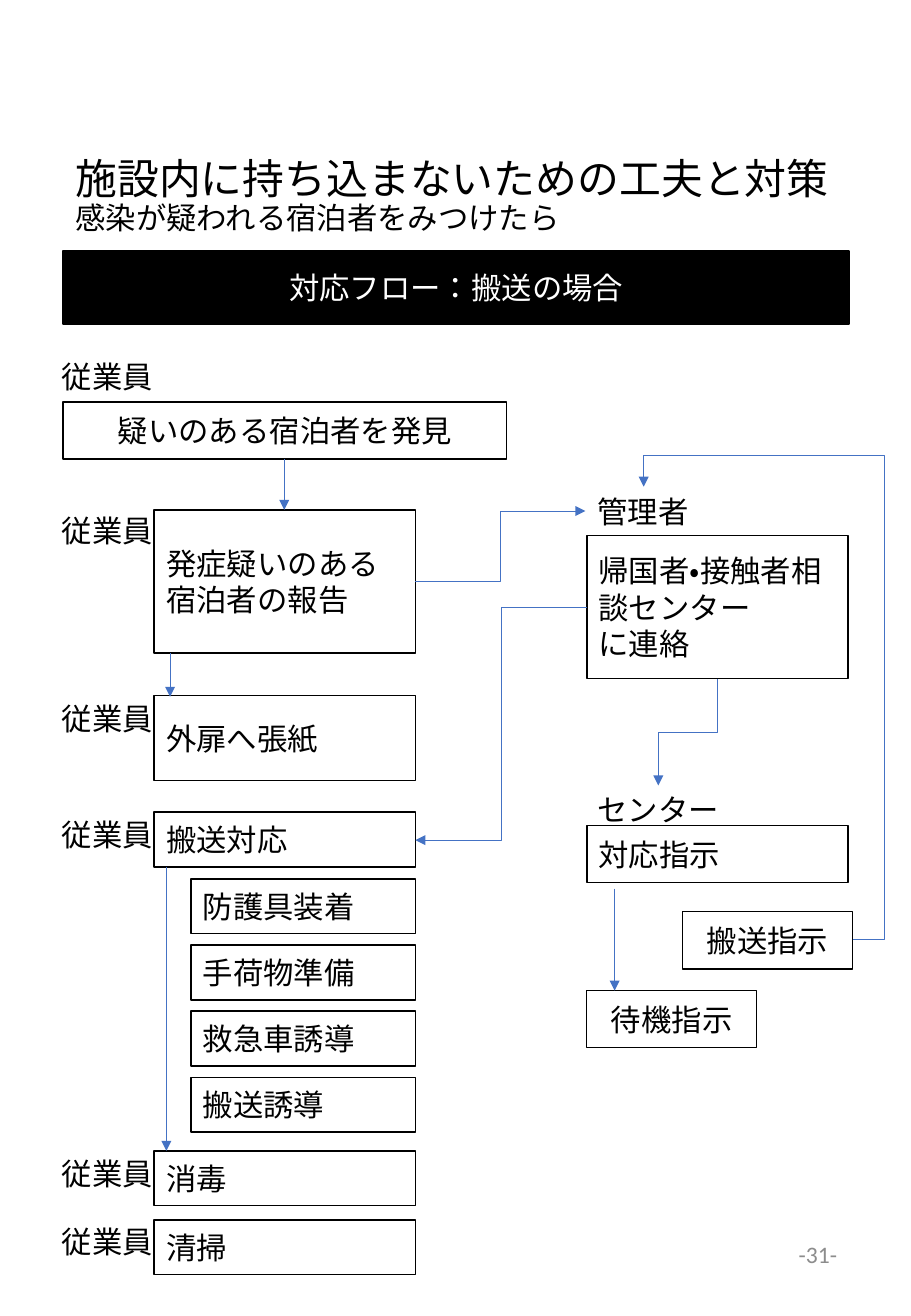
from pptx import Presentation
from pptx.dml.color import RGBColor
from pptx.enum.lang import MSO_LANGUAGE_ID
from pptx.enum.shapes import MSO_CONNECTOR, MSO_SHAPE
from pptx.enum.text import MSO_ANCHOR, MSO_AUTO_SIZE, PP_ALIGN
from pptx.oxml.ns import qn
from pptx.util import Inches, Pt
from lxml import etree

BLACK = RGBColor(0x00, 0x00, 0x00)
WHITE = RGBColor(0xFF, 0xFF, 0xFF)
GREY = RGBColor(0x8C, 0x8C, 0x8C)
BLUE = RGBColor(0x44, 0x72, 0xC4)

STAFF_LEFT, STAFF_WIDTH = 1.27, 2.15
STAFF_RIGHT = STAFF_LEFT + STAFF_WIDTH
TASK_LEFT, TASK_TOP, TASK_STEP = 1.57, 7.24, 0.545
ROW_HEIGHT = 0.45
DESK_LEFT, DESK_LABEL_LEFT = 4.83, 4.82

# Staff steps: text, top, height, top of the role label
STAFF_STEPS = [
    ("発症疑いのある宿泊者の報告", 4.2, 1.18, 4.17),
    ("外扉へ張紙", 5.73, 0.7, 5.72),
    ("搬送対応", 6.69, ROW_HEIGHT, 6.67),
    ("消毒", 9.48, ROW_HEIGHT, 9.47),
    ("清掃", 10.05, ROW_HEIGHT, 10.03),
]
TRANSFER_TASKS = ["防護具装着", "手荷物準備", "救急車誘導", "搬送誘導"]


def write(frame, text, size=18, color=BLACK, align=PP_ALIGN.LEFT, spacing=None,
          anchor=MSO_ANCHOR.MIDDLE, more=False):
    """Write each line of text as a paragraph; more=True appends."""
    frame.vertical_anchor = anchor
    for index, line in enumerate(text.split("\n")):
        first = index == 0 and not more
        paragraph = frame.paragraphs[0] if first else frame.add_paragraph()
        paragraph.alignment = align
        paragraph.line_spacing = spacing
        paragraph.space_before = Pt(0)
        run = paragraph.add_run()
        run.text = line
        run.font.name = "Calibri"
        run.font.size = Pt(size)
        run.font.color.rgb = color
        run.font.language_id = MSO_LANGUAGE_ID.JAPANESE


def add_title(slide, heading, subheading):
    title = slide.shapes.title
    title.left, title.top = Inches(0.52), Inches(0.58)
    title.width, title.height = Inches(6.47), Inches(2.09)
    frame = title.text_frame
    frame.word_wrap = True
    frame.auto_size = MSO_AUTO_SIZE.NONE
    write(frame, heading, size=24.8, spacing=0.9)
    write(frame, subheading, spacing=0.9, more=True)


def add_box(slide, text, left, top, width, height, fill=None, **text_format):
    box = slide.shapes.add_shape(MSO_SHAPE.RECTANGLE, Inches(left), Inches(top),
                                 Inches(width), Inches(height))
    box.shadow.inherit = False
    if fill is None:
        box.fill.background()
    else:
        box.fill.solid()
        box.fill.fore_color.rgb = fill
    box.line.color.rgb = BLACK
    box.line.width = Pt(1)
    box.text_frame.word_wrap = True
    write(box.text_frame, text, **text_format)


def add_label(slide, text, left, top, width=0.96):
    label = slide.shapes.add_textbox(Inches(left), Inches(top),
                                     Inches(width), Inches(0.4))
    label.text_frame.word_wrap = False
    label.text_frame.auto_size = MSO_AUTO_SIZE.SHAPE_TO_FIT_TEXT
    write(label.text_frame, text, anchor=MSO_ANCHOR.TOP)


def add_arrow(slide, start, end, kind=MSO_CONNECTOR.ELBOW, vertical_first=False,
              bends=()):
    """Draw an arrow; bends are the adjustments of a four-segment elbow."""
    (x1, y1), (x2, y2) = start, end
    if vertical_first:
        # Turn the ends back by 90 degrees about the centre, then rotate the frame
        cx, cy = (x1 + x2) / 2, (y1 + y2) / 2
        x1, y1, x2, y2 = (cx + y1 - cy, cy - x1 + cx,
                          cx + y2 - cy, cy - x2 + cx)
    arrow = slide.shapes.add_connector(kind, Inches(x1), Inches(y1),
                                       Inches(x2), Inches(y2))
    arrow.line.color.rgb = BLUE
    arrow.line.width = Pt(0.5)
    properties = arrow._element.spPr
    if vertical_first:
        properties.find(qn("a:xfrm")).set("rot", "5400000")
    if bends:
        geometry = properties.find(qn("a:prstGeom"))
        geometry.set("prst", "bentConnector4")
        for number, bend in enumerate(bends, start=1):
            etree.SubElement(geometry.find(qn("a:avLst")), qn("a:gd"),
                             name=f"adj{number}", fmla=f"val {round(bend * 100000)}")
    etree.SubElement(properties.find(qn("a:ln")), qn("a:tailEnd"), type="triangle")
    etree.SubElement(properties, qn("a:effectLst"))


def add_page_number(slide, text):
    number = slide.shapes.add_textbox(Inches(5.3), Inches(10.04),
                                      Inches(1.69), Inches(0.58))
    number.text_frame.word_wrap = True
    write(number.text_frame, text, size=14, color=GREY, align=PP_ALIGN.RIGHT)


def add_staff_column(slide):
    add_label(slide, "従業員", 0.41, 2.9)
    add_box(slide, "疑いのある宿泊者を発見", 0.52, 3.31, 3.65, 0.47,
            align=PP_ALIGN.CENTER)
    for text, top, height, label_top in STAFF_STEPS:
        add_box(slide, text, STAFF_LEFT, top, STAFF_WIDTH, height)
        add_label(slide, "従業員", 0.41, label_top)
    for index, task in enumerate(TRANSFER_TASKS):
        add_box(slide, task, TASK_LEFT, TASK_TOP + index * TASK_STEP,
                STAFF_RIGHT - TASK_LEFT, ROW_HEIGHT)


def add_desk_column(slide):
    add_label(slide, "管理者", DESK_LABEL_LEFT, 4.01)
    add_box(slide, "帰国者・接触者相談センター\nに連絡", DESK_LEFT, 4.41, 2.15, 1.18)
    add_label(slide, "センター", DESK_LABEL_LEFT, 6.47, 1.21)
    add_box(slide, "対応指示", DESK_LEFT, 6.8, 2.15, 0.47)
    add_box(slide, "搬送指示", 5.62, 7.51, 1.4, 0.47, align=PP_ALIGN.CENTER)
    add_box(slide, "待機指示", DESK_LEFT, 8.16, 1.4, 0.47, align=PP_ALIGN.CENTER)


def add_flow_arrows(slide):
    # Straight steps down
    for x, top, bottom in [(2.34, 3.78, 4.2), (1.4, 5.38, 5.74),
                           (1.37, 7.14, 9.48), (5.06, 7.32, 8.16)]:
        add_arrow(slide, (x, top), (x, bottom), kind=MSO_CONNECTOR.STRAIGHT)
    # Report to manager, contact to centre, contact to transfer
    add_arrow(slide, (STAFF_RIGHT, 4.79), (DESK_LABEL_LEFT, 4.21))
    add_arrow(slide, (5.91, 5.59), (5.42, 6.47), vertical_first=True)
    add_arrow(slide, (DESK_LEFT, 5), (STAFF_RIGHT, 6.92))
    # Transfer order back to manager
    add_arrow(slide, (7.02, 7.74), (5.3, 4.01), bends=(-0.15, 1.07))


def main():
    presentation = Presentation()
    presentation.slide_width = Inches(7.5)
    presentation.slide_height = Inches(10.84)
    slide = presentation.slides.add_slide(presentation.slide_layouts[5])

    # Heading
    add_title(slide, "施設内に持ち込まないための工夫と対策",
              "感染が疑われる宿泊者をみつけたら")
    add_page_number(slide, "-31-")
    add_box(slide, "対応フロー：搬送の場合", 0.52, 2.07, 6.47, 0.6, fill=BLACK,
            color=WHITE, align=PP_ALIGN.CENTER)

    # Flow chart
    add_staff_column(slide)
    add_desk_column(slide)
    add_flow_arrows(slide)
    presentation.save("out.pptx")


if __name__ == "__main__":
    main()
